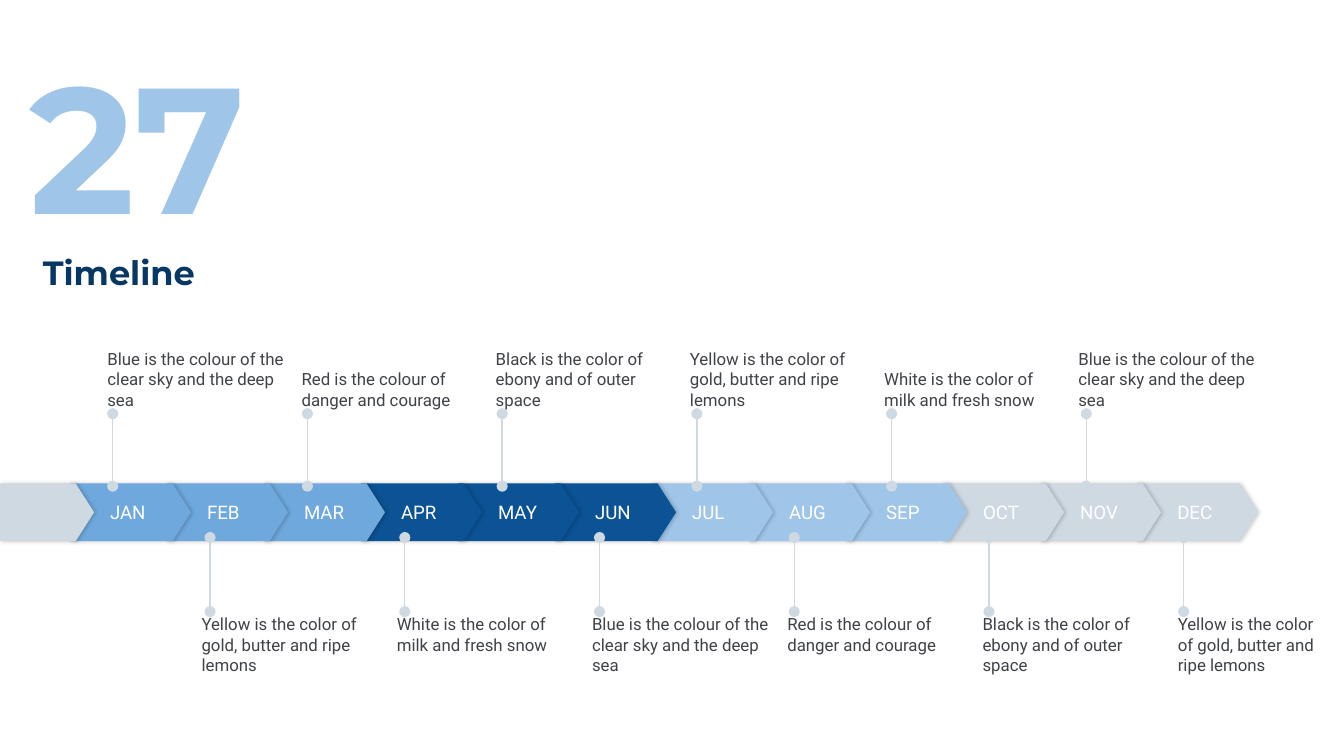
from dataclasses import dataclass

from lxml.etree import SubElement
from pptx import Presentation
from pptx.dml.color import RGBColor
from pptx.enum.shapes import MSO_CONNECTOR, MSO_SHAPE
from pptx.enum.text import MSO_ANCHOR, PP_ALIGN
from pptx.oxml.ns import qn
from pptx.slide import Slide
from pptx.text.text import TextFrame
from pptx.util import Cm, Pt

NAVY = RGBColor(0x07, 0x37, 0x63)
DARK_BLUE = RGBColor(0x0B, 0x53, 0x94)
MID_BLUE = RGBColor(0x6F, 0xA8, 0xDC)
LIGHT_BLUE = RGBColor(0x9F, 0xC5, 0xE8)
GREY = RGBColor(0xCF, 0xD9, 0xE1)
TEXT_GREY = RGBColor(0x3F, 0x42, 0x47)
WHITE = RGBColor(0xFF, 0xFF, 0xFF)

NUMBER_FONT = {"name": "Montserrat", "size": Pt(96), "bold": True}
TITLE_FONT = {"name": "Montserrat", "size": Pt(18), "bold": True}
MONTH_FONT = {"name": "Roboto", "size": Pt(10)}
NOTE_FONT = {"name": "Roboto", "size": Pt(9)}

MONTHS = ("JAN", "FEB", "MAR", "APR", "MAY", "JUN",
          "JUL", "AUG", "SEP", "OCT", "NOV", "DEC")
QUARTER_COLORS = (MID_BLUE, DARK_BLUE, LIGHT_BLUE, GREY)
FIRST_MONTH, LAST_MONTH = 1.32, 21.49
MONTH_PITCH = (LAST_MONTH - FIRST_MONTH) / (len(MONTHS) - 1)
MONTH_WIDTH = 2.29
BAND_TOP, BAND_HEIGHT = 9.14, 1.09
FIRST_PIN, PIN_PITCH = 2.13, 1.84
NOTE_WIDTH, NOTE_HEIGHT = 3.48, 1.47

BLUE_NOTE = "Blue is the colour of the clear sky and the deep sea"
RED_NOTE = "Red is the colour of danger and courage"
BLACK_NOTE = "Black is the color of ebony and of outer space"
YELLOW_NOTE = "Yellow is the color of gold, butter and ripe lemons"
WHITE_NOTE = "White is the color of milk and fresh snow"


@dataclass(frozen=True)
class NoteRow:
    """Notes on one side of the band, one for every second month (cm)."""
    notes: tuple[str, ...]
    first_month: int
    left: float
    pitch: float
    top: float
    anchor: MSO_ANCHOR
    pin_from: float
    pin_to: float
    last_width: float


ROWS = (
    NoteRow((BLUE_NOTE, RED_NOTE, BLACK_NOTE, YELLOW_NOTE, WHITE_NOTE, BLUE_NOTE),
            0, 2.03, 3.67, 6.27, MSO_ANCHOR.BOTTOM, 9.19, 7.82, NOTE_WIDTH),
    NoteRow((YELLOW_NOTE, WHITE_NOTE, BLUE_NOTE, RED_NOTE, BLACK_NOTE, YELLOW_NOTE),
            1, 3.81, 3.69, 11.61, MSO_ANCHOR.TOP, 11.56, 10.16, 2.87),
)


def set_text(tf: TextFrame, text: str, font: dict, color: RGBColor,
             anchor: MSO_ANCHOR, margins: dict) -> None:
    for name, value in {"word_wrap": True, "vertical_anchor": anchor, **margins}.items():
        setattr(tf, name, value)
    p = tf.paragraphs[0]
    p.alignment = PP_ALIGN.LEFT
    r = p.add_run()
    r.text = text
    for name, value in font.items():
        setattr(r.font, name, value)
    r.font.color.rgb = color


def margins(all_sides: float, left: float | None = None) -> dict:
    sides = {f"margin_{side}": Cm(all_sides) for side in ("left", "top", "right", "bottom")}
    if left is not None:
        sides["margin_left"] = Cm(left)
    return sides


def add_text(s: Slide, box: tuple[float, ...], text: str, font: dict, color: RGBColor,
             inset: float = 0, anchor: MSO_ANCHOR = MSO_ANCHOR.TOP) -> None:
    tb = s.shapes.add_textbox(*map(Cm, box))
    set_text(tb.text_frame, text, font, color, anchor, margins(inset))


def add_arrow(s: Slide, left: float, width: float, color: RGBColor, label: str = "") -> None:
    """Draw one pentagon of the band with its soft shadow."""
    sp = s.shapes.add_shape(MSO_SHAPE.PENTAGON, Cm(left), Cm(BAND_TOP),
                            Cm(width), Cm(BAND_HEIGHT))
    sp.adjustments[0] = 0.32
    sp.fill.solid()
    sp.fill.fore_color.rgb = color
    sp.line.fill.background()
    sp.shadow.inherit = False
    effects = sp._element.spPr.find(qn("a:effectLst"))
    shadow = SubElement(effects, qn("a:outerShdw"), blurRad=str(Pt(2.2)),
                        dist=str(Pt(0.8)), dir="0", algn="ctr", rotWithShape="0")
    black = SubElement(shadow, qn("a:srgbClr"), val="000000")
    SubElement(black, qn("a:alpha"), val="20000")
    if label:
        set_text(sp.text_frame, label, MONTH_FONT, WHITE, MSO_ANCHOR.MIDDLE,
                 margins(0, left=0.76))


def add_pin(s: Slide, x: float, y_from: float, y_to: float) -> None:
    """Draw a vertical line with a dot at each end."""
    pin = s.shapes.add_connector(MSO_CONNECTOR.STRAIGHT, Cm(x), Cm(y_from), Cm(x), Cm(y_to))
    pin.line.color.rgb = GREY
    pin.line.width = Pt(0.75)
    for end in ("a:headEnd", "a:tailEnd"):
        SubElement(pin.line._get_or_add_ln(), qn(end), type="oval")
    SubElement(pin._element.spPr, qn("a:effectLst"))


def add_note_row(s: Slide, row: NoteRow) -> None:
    for i, note in enumerate(row.notes):
        month = row.first_month + 2 * i
        add_pin(s, FIRST_PIN + month * PIN_PITCH, row.pin_from, row.pin_to)
        width = row.last_width if i == len(row.notes) - 1 else NOTE_WIDTH
        add_text(s, (row.left + i * row.pitch, row.top, width, NOTE_HEIGHT),
                 note, NOTE_FONT, TEXT_GREY, anchor=row.anchor)


def main() -> None:
    prs = Presentation()
    prs.slide_width, prs.slide_height = Cm(25.4), Cm(14.29)
    s = prs.slides.add_slide(prs.slide_layouts[6])

    add_text(s, (0.56, 4.52, 4.75, 1.09), "Timeline", TITLE_FONT, NAVY, inset=0.25)
    add_text(s, (0.3, 0.41, 5.03, 3.48), "27", NUMBER_FONT, LIGHT_BLUE, inset=0.25)

    # Each arrow tip overlaps the next month, so the last month goes first.
    for i, month in reversed(list(enumerate(MONTHS))):
        add_arrow(s, FIRST_MONTH + i * MONTH_PITCH, MONTH_WIDTH, QUARTER_COLORS[i // 3], month)
    add_arrow(s, 0, 1.78, GREY)

    for row in ROWS:
        add_note_row(s, row)

    prs.save("out.pptx")


if __name__ == "__main__":
    main()
